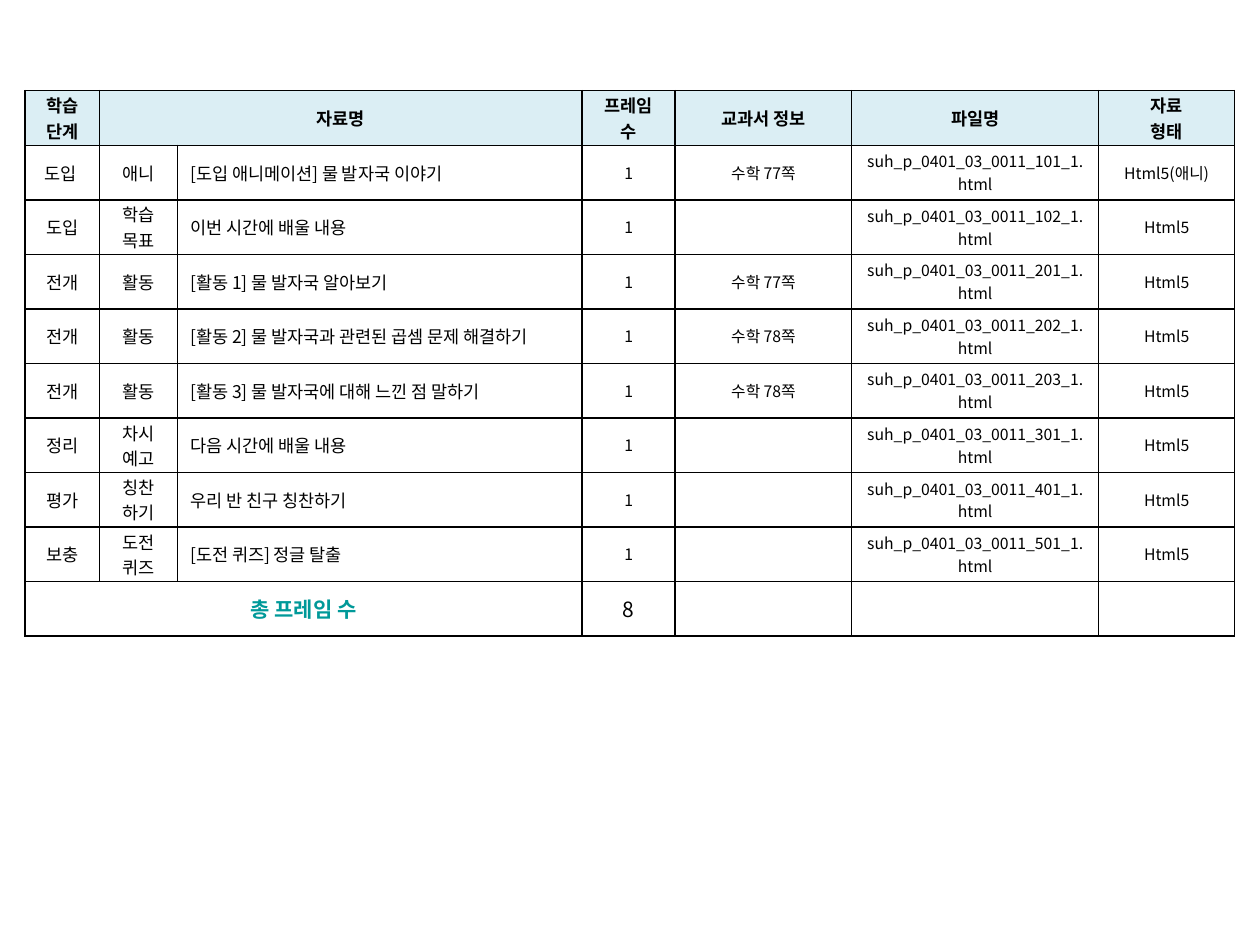
from lxml import etree
from pptx import Presentation
from pptx.dml.color import RGBColor
from pptx.enum.text import MSO_ANCHOR, PP_ALIGN
from pptx.oxml.ns import qn
from pptx.util import Inches, Pt

CENTER, LEFT = PP_ALIGN.CENTER, PP_ALIGN.LEFT
MIDDLE = MSO_ANCHOR.MIDDLE

FONT = "Noto Sans CJK KR"
COLORS = {"text": "000000", "header": "DBEEF4", "total": "009999", "border": "000000"}

COLUMN_WIDTHS = [0.59, 0.62, 3.21, 0.74, 1.4, 1.96, 1.08]
COLUMN_SIZES = [10, 10, 10, 9, 9, 9, 9]
TITLE_COLUMN = 2
TABLE_HEIGHT = 4.33

HEADERS = ["학습 단계", "자료명", "", "프레임 수", "교과서 정보", "파일명", "자료\n형태"]
LESSONS = [
    ("도입 ", "애니", "[도입 애니메이션] 물 발자국 이야기", "수학 77쪽", "101", "Html5(애니)"),
    ("도입", "학습 목표", "이번 시간에 배울 내용", "", "102", "Html5"),
    ("전개", "활동", "[활동 1] 물 발자국 알아보기", "수학 77쪽", "201", "Html5"),
    ("전개", "활동", "[활동 2] 물 발자국과 관련된 곱셈 문제 해결하기", "수학 78쪽", "202", "Html5"),
    ("전개", "활동", "[활동 3] 물 발자국에 대해 느낀 점 말하기", "수학 78쪽", "203", "Html5"),
    ("정리", "차시 예고", "다음 시간에 배울 내용", "", "301", "Html5"),
    ("평가", "칭찬\n하기", "우리 반 친구 칭찬하기", "", "401", "Html5"),
    ("보충", "도전 퀴즈", "[도전 퀴즈] 정글 탈출", "", "501", "Html5"),
]
TOTALS = ["총 프레임 수", "", "", str(len(LESSONS)), "", "", ""]


def write_text(cell, text, size=10, color="text", bold=False, align=CENTER):
    cell.vertical_anchor = MIDDLE
    cell.margin_top = cell.margin_bottom = Inches(0.01)
    cell.text_frame.text = text
    for paragraph in cell.text_frame.paragraphs:
        paragraph.alignment = align
        if not paragraph.runs:
            etree.SubElement(paragraph._p, qn("a:endParaRPr"), sz=str(size * 100))
        for run in paragraph.runs:
            run.font.name = FONT
            run.font.size = Pt(size)
            run.font.bold = bold
            run.font.color.rgb = RGBColor.from_string(COLORS[color])
            east_asian = etree.SubElement(run.font._element, qn("a:ea"))
            east_asian.set("typeface", FONT)


def draw_borders(cell):
    properties = cell._tc.get_or_add_tcPr()
    for position, side in enumerate(("a:lnL", "a:lnR", "a:lnT", "a:lnB")):
        line = etree.Element(qn(side), w=str(Pt(1)))
        fill = etree.SubElement(line, qn("a:solidFill"))
        etree.SubElement(fill, qn("a:srgbClr"), val=COLORS["border"])
        properties.insert(position, line)


def style_cell(cell, fill=None):
    if fill:
        cell.fill.solid()
        cell.fill.fore_color.rgb = RGBColor.from_string(COLORS[fill])
    else:
        cell.fill.background()
    draw_borders(cell)


def add_grid(slide, row_count):
    frame = slide.shapes.add_table(
        row_count, len(COLUMN_WIDTHS), Inches(0.2), Inches(0.72),
        Inches(sum(COLUMN_WIDTHS)), Inches(TABLE_HEIGHT))
    table = frame.table
    table.first_row = table.horz_banding = False
    for column, width in zip(table.columns, COLUMN_WIDTHS):
        column.width = Inches(width)
    return table


def fill_header(table):
    for index, heading in enumerate(HEADERS):
        cell = table.cell(0, index)
        write_text(cell, heading, bold=True)
        style_cell(cell, fill="header")
    table.cell(0, 1).merge(table.cell(0, 2))


def fill_lesson(table, row, lesson):
    stage, activity, title, pages, code, kind = lesson
    file_name = f"suh_p_0401_03_0011_{code}_1.html"
    values = [stage, activity, title, "1", pages, file_name, kind]
    for index, (value, size) in enumerate(zip(values, COLUMN_SIZES)):
        cell = table.cell(row, index)
        write_text(cell, value, size=size, align=LEFT if index == TITLE_COLUMN else CENTER)
        style_cell(cell)


def fill_totals(table, row):
    for index, value in enumerate(TOTALS):
        cell = table.cell(row, index)
        is_label = index == 0
        write_text(cell, value, size=12, bold=is_label, color="total" if is_label else "text")
        style_cell(cell)
    table.cell(row, 0).merge(table.cell(row, 2))


def main():
    presentation = Presentation()
    presentation.slide_width, presentation.slide_height = Inches(10), Inches(7.5)
    slide = presentation.slides.add_slide(presentation.slide_layouts[6])
    table = add_grid(slide, len(LESSONS) + 2)
    fill_header(table)
    for row, lesson in enumerate(LESSONS, start=1):
        fill_lesson(table, row, lesson)
    fill_totals(table, len(LESSONS) + 1)
    presentation.save("out.pptx")


if __name__ == "__main__":
    main()
